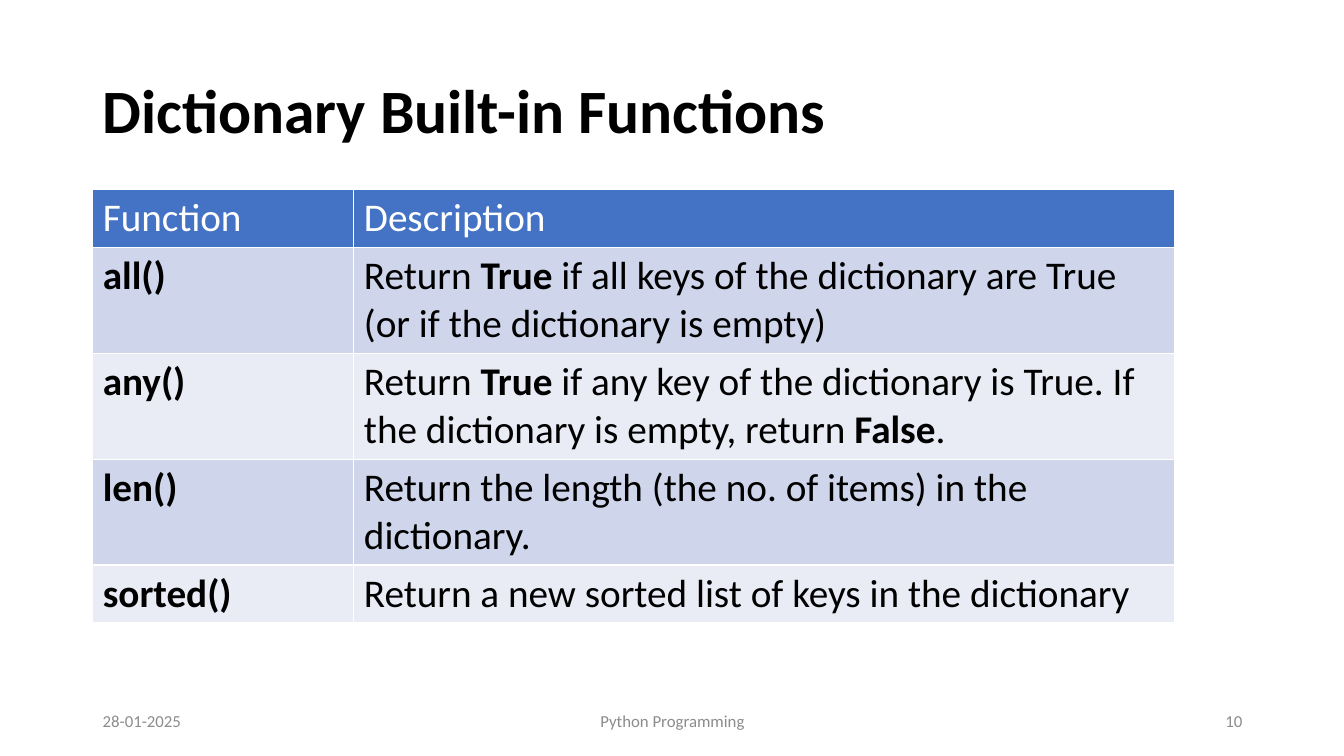
"""Build the slide listing Python's built-in dictionary functions."""
from pptx import Presentation, util as u
from pptx.dml import color
from pptx.enum import text

THEME = {
    "font": "Calibri", "title": 44, "table": 28, "footer": 12,
    "ink": "000000", "white": "FFFFFF", "grey": "8C8C8C",
    "header": "4472C4", "bands": ("E9EBF5", "CFD5EA"),
}
LEFT, RIGHT = 0.92, 12.42
COLUMNS = (2.59, 8.14)
TABLE_TOP, LINE, PADDING = 1.88, 0.475, 0.1
FOOTER_TOP, FOOTER_HEIGHT = 6.95, 0.4


def style(para, size, ink, bold=False):
    font = para.font
    font.name, font.size, font.bold = THEME["font"], u.Pt(THEME[size]), bold
    font.color.rgb = color.RGBColor.from_string(THEME[ink])


def add_label(page, wording, left, top, width, height, size, ink, align, bold=False):
    box = page.shapes.add_textbox(*map(u.Inches, (left, top, width, height)))
    frame = box.text_frame
    frame.word_wrap = True
    frame.vertical_anchor = text.MSO_ANCHOR.MIDDLE
    para = frame.paragraphs[0]
    para.text, para.alignment = wording, align
    style(para, size, ink, bold)
    return para


deck = Presentation()
deck.slide_width, deck.slide_height = u.Inches(13.33), u.Inches(7.5)
page = deck.slides.add_slide(deck.slide_layouts[6])

title = add_label(page, "Dictionary Built-in Functions", LEFT, 0.4, RIGHT - LEFT, 1.45,
                  "title", "ink", text.PP_ALIGN.LEFT, bold=True)
title.line_spacing = 0.9

# Every second piece of a description is bold.
rows = [
    ("Function", ["Description"], 1),
    ("all()", ["Return ", "True",
               " if all keys of the dictionary are True (or if the dictionary is empty)"], 2),
    ("any()", ["Return ", "True",
               " if any key of the dictionary is True. If the dictionary is empty, return ",
               "False", "."], 2),
    ("len()", ["Return the length (the no. of items) in the dictionary."], 2),
    ("sorted()", ["Return a new sorted list of keys in the dictionary"], 1),
]
heights = [lines * LINE + PADDING for _, _, lines in rows]
table = page.shapes.add_table(
    len(rows), len(COLUMNS), u.Inches(LEFT), u.Inches(TABLE_TOP),
    u.Inches(sum(COLUMNS)), u.Inches(sum(heights))).table
for column, width in zip(table.columns, COLUMNS):
    column.width = u.Inches(width)

for index, (name, pieces, _) in enumerate(rows):
    table.rows[index].height = u.Inches(heights[index])
    is_header = index == 0
    fill = THEME["header"] if is_header else THEME["bands"][index % 2]
    for column, spans in enumerate(([name], pieces)):
        cell = table.cell(index, column)
        cell.fill.solid()
        cell.fill.fore_color.rgb = color.RGBColor.from_string(fill)
        para = cell.text_frame.paragraphs[0]
        name_bold = column == 0 and not is_header
        style(para, "table", "white" if is_header else "ink", name_bold)
        for order, wording in enumerate(spans):
            span = para.add_run()
            span.text = wording
            style(span, "table", "white" if is_header else "ink", name_bold or order % 2 == 1)

footers = [
    ("28-01-2025", LEFT, 3, text.PP_ALIGN.LEFT),
    ("Python Programming", 4.42, 4.5, text.PP_ALIGN.CENTER),
    ("10", RIGHT - 3, 3, text.PP_ALIGN.RIGHT),
]
for wording, left, width, align in footers:
    add_label(page, wording, left, FOOTER_TOP, width, FOOTER_HEIGHT, "footer", "grey", align)

deck.save("out.pptx")
